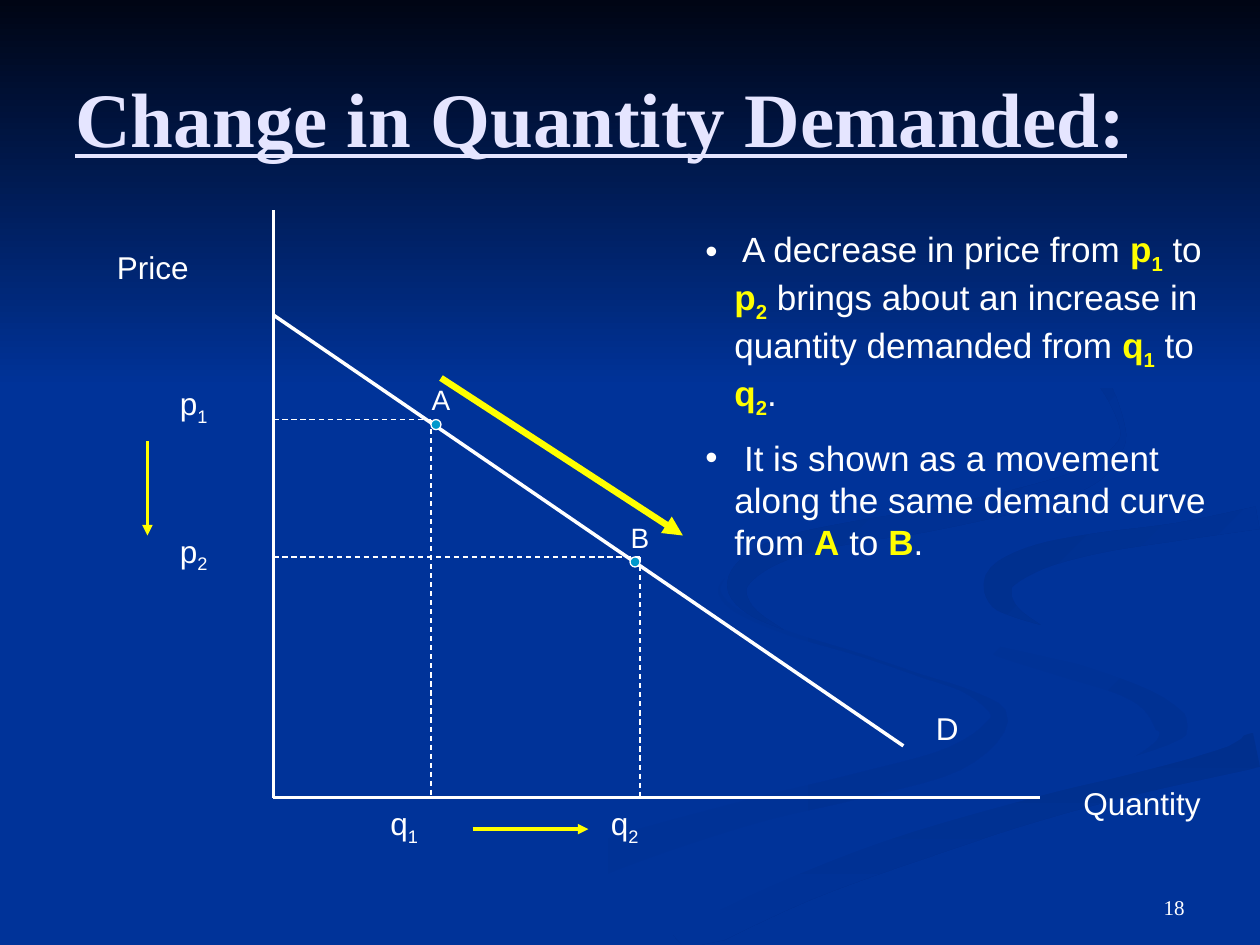
from math import hypot

from lxml.etree import SubElement
from pptx import Presentation
from pptx.dml.color import RGBColor
from pptx.enum.dml import MSO_LINE
from pptx.enum.shapes import MSO_CONNECTOR, MSO_SHAPE
from pptx.enum.text import MSO_ANCHOR, PP_ALIGN
from pptx.oxml.ns import qn
from pptx.util import Inches, Pt

BLUE = RGBColor(0x00, 0x33, 0x99)
SHADE = RGBColor(0x00, 0x31, 0x93)
DEEP = RGBColor(0x00, 0x2F, 0x8D)
NIGHT = RGBColor(0x00, 0x05, 0x14)
LAVENDER = RGBColor(0xE5, 0xE5, 0xFF)
WHITE = RGBColor(0xFF, 0xFF, 0xFF)
YELLOW = RGBColor(0xFF, 0xFF, 0x00)
TEAL = RGBColor(0x00, 0x99, 0xCC)

PAGE_WIDTH, PAGE_HEIGHT = 10, 7.5
SKY_HEIGHT = 3.08
CURVE_STEPS = 5
ORIGIN_X, ORIGIN_Y = 2.17, 6.33
DOT_SIZE = 0.08
BULLET_INDENT = Inches(0.23)

# Each ribbon lists its bends as (x, y, breadth).
LOWER_RIBBON = [
    (5.75, 4.59, 0), (5.71, 4.7, 0.02), (5.85, 4.85, 0.03), (6.27, 5.03, 0.03),
    (6.8, 5.19, 0.02), (7.3, 5.36, 0.02), (7.7, 5.5, 0.04), (7.93, 5.71, 0.14),
    (7.58, 6.02, 0.2), (6.8, 6.24, 0.2), (5.86, 6.47, 0.2), (4.62, 6.87, 0.27),
    (3.3, 7.49, 0.3)]
BEND_RIBBON = [
    (7.24, 4.64, 0), (7.29, 4.81, 0.03), (7.42, 4.93, 0.08), (7.85, 5.12, 0.12),
    (8.42, 5.29, 0.15), (8.93, 5.45, 0.15), (9.19, 5.58, 0.24), (9.3, 5.78, 0.25),
    (9.22, 5.92, 0.12), (8.94, 6.05, 0)]
FRONT_RIBBON = [
    (9.98, 5.95, 0.28), (9.03, 6.2, 0.2), (8.25, 6.4, 0.22), (7.58, 6.6, 0.25),
    (6.4, 7.02, 0.25), (5.35, 7.49, 0.3)]
MAIN_RIBBON = [
    (9.99, 3.95, 0.15), (9.33, 4.07, 0.15), (8.5, 4.19, 0.16), (8, 4.3, 0.2),
    (7.65, 4.45, 0.36), (7.53, 4.64, 0.56), (7.68, 4.86, 0.4), (8.3, 5.08, 0.26),
    (8.7, 5.18, 0.26), (9.3, 5.4, 0.3), (9.7, 5.65, 0.5), (9.5, 5.9, 0.2),
    (8.9, 6.1, 0.12), (8.2, 6.28, 0.1), (7, 6.62, 0.12), (5.9, 7.05, 0.15),
    (4.95, 7.49, 0.25)]
UPPER_RIBBON = [
    (9.98, 4.11, 0.18), (9.35, 4.22, 0.14), (8.72, 4.31, 0.16), (8.25, 4.42, 0.2),
    (7.95, 4.58, 0.23), (7.94, 4.74, 0.2), (8.06, 4.86, 0.08), (8.26, 4.96, 0)]
FAR_RIBBON = [
    (7.62, 2.33, 0), (8.45, 2.77, 0.04), (8.75, 3.03, 0.08), (8.91, 3.4, 0.04),
    (8.86, 3.58, 0.08), (8.66, 3.77, 0.15), (8.2, 3.94, 0.18), (7.36, 4.13, 0.18),
    (6.8, 4.22, 0.17), (6.3, 4.33, 0.18), (5.99, 4.47, 0.19), (5.85, 4.65, 0.16),
    (5.95, 4.84, 0.07), (6.22, 5, 0)]
RIBBONS = [
    (LOWER_RIBBON, BLUE, SHADE, 0), (BEND_RIBBON, BLUE, SHADE, 45),
    (FRONT_RIBBON, DEEP, BLUE, 90), (MAIN_RIBBON, BLUE, BLUE, 0),
    (UPPER_RIBBON, DEEP, BLUE, 45), (FAR_RIBBON, DEEP, BLUE, 45)]


def smooth(bends):
    padded = [bends[0], *bends, bends[-1]]
    points = []
    for before, start, end, after in zip(padded, padded[1:], padded[2:], padded[3:]):
        for step in range(CURVE_STEPS):
            t = step / CURVE_STEPS
            points.append([
                b + ((c - a) * t + (2 * a - 5 * b + 4 * c - d) * t ** 2
                     + (3 * b - a - 3 * c + d) * t ** 3) / 2
                for a, b, c, d in zip(before, start, end, after)])
    return points + [bends[-1]]


def ribbon_outline(bends):
    points = smooth(bends)
    left_side, right_side = [], []
    for index, (x, y, breadth) in enumerate(points):
        x1, y1, _ = points[max(index - 1, 0)]
        x2, y2, _ = points[min(index + 1, len(points) - 1)]
        reach = max(breadth, 0) / 2 / hypot(x2 - x1, y2 - y1)
        for side, sign in ((left_side, 1), (right_side, -1)):
            side.append((min(x - sign * reach * (y2 - y1), PAGE_WIDTH),
                         min(y + sign * reach * (x2 - x1), PAGE_HEIGHT)))
    return left_side + right_side[::-1]


def fill_gradient(shape, start, end, angle):
    shape.shadow.inherit = False
    shape.line.fill.background()
    shape.fill.gradient()
    shape.fill.gradient_angle = -angle % 360
    for stop, color in zip(shape.fill.gradient_stops, (start, end)):
        stop.color.rgb = color


def add_ribbon(page, bends, start, end, angle):
    corners = [(Inches(x), Inches(y)) for x, y in ribbon_outline(bends)]
    builder = page.shapes.build_freeform(*corners[0])
    builder.add_line_segments(corners[1:], close=True)
    fill_gradient(builder.convert_to_shape(), start, end, angle)


def add_backdrop(page):
    page.background.fill.solid()
    page.background.fill.fore_color.rgb = BLUE
    for ribbon in RIBBONS:
        add_ribbon(page, *ribbon)
    sky = page.shapes.add_shape(MSO_SHAPE.RECTANGLE, 0, 0, Inches(PAGE_WIDTH), Inches(SKY_HEIGHT))
    fill_gradient(sky, NIGHT, BLUE, 90)


def add_line(page, x1, y1, x2, y2, color=WHITE, width=2, dashed=False, arrow=False):
    ends = [Inches(value) for value in (x1, y1, x2, y2)]
    connector = page.shapes.add_connector(MSO_CONNECTOR.STRAIGHT, *ends)
    connector.line.color.rgb = color
    connector.line.width = Pt(width)
    if dashed:
        connector.line.dash_style = MSO_LINE.DASH
    if arrow:
        SubElement(connector.line._get_or_add_ln(), qn("a:tailEnd"), type="triangle")
    SubElement(connector._element.spPr, qn("a:effectLst"))


def add_box(page, left, top, width, height, anchor=MSO_ANCHOR.TOP):
    box = page.shapes.add_textbox(Inches(left), Inches(top), Inches(width), Inches(height))
    box.text_frame.word_wrap = True
    box.text_frame.vertical_anchor = anchor
    return box.text_frame


def set_font(para, size, color=WHITE, name="Arial"):
    para.font.size = Pt(size)
    para.font.name = name
    para.font.color.rgb = color


def add_span(para, text, subscript=False, strong=False):
    span = para.add_run()
    span.text = text
    if subscript:
        span._r.get_or_add_rPr().set("baseline", "-25000")
    if strong:
        span.font.bold = True
        span.font.color.rgb = YELLOW


def add_symbol(para, letter, index="", strong=False):
    add_span(para, letter, strong=strong)
    if index:
        add_span(para, index, subscript=True, strong=strong)


def add_label(page, text, left, top, width, size=18, align=PP_ALIGN.LEFT):
    para = add_box(page, left, top, width, 0.4).paragraphs[0]
    para.alignment = align
    set_font(para, size)
    add_symbol(para, *(text if text[-1].isdigit() else [text]))


def add_point(page, name, guide_x, dot_x, y):
    add_line(page, ORIGIN_X, y, guide_x, y, width=0.75, dashed=True)
    add_line(page, guide_x, y, guide_x, ORIGIN_Y, width=0.75, dashed=True)
    dot = page.shapes.add_shape(MSO_SHAPE.FLOWCHART_CONNECTOR, Inches(dot_x), Inches(y),
                                Inches(DOT_SIZE), Inches(DOT_SIZE))
    dot.shadow.inherit = False
    dot.fill.solid()
    dot.fill.fore_color.rgb = TEAL
    dot.line.color.rgb = WHITE
    dot.line.width = Pt(0.75)
    add_label(page, name, dot_x - 0.17, y - 0.34, 0.5, 16, PP_ALIGN.CENTER)


def add_graph(page):
    add_line(page, ORIGIN_X, 1.67, ORIGIN_X, ORIGIN_Y)
    add_line(page, ORIGIN_X, ORIGIN_Y, 8.25, ORIGIN_Y)
    add_line(page, ORIGIN_X, 2.5, 7.17, 5.92)
    add_point(page, "A", 3.42, 3.42, 3.33)
    add_point(page, "B", 5.08, 5, 4.42)
    add_line(page, 3.5, 3, 5.42, 4.25, YELLOW, 3.75, arrow=True)
    add_line(page, 1.17, 3.5, 1.17, 4.25, YELLOW, arrow=True)
    add_line(page, 3.75, 6.58, 4.67, 6.58, YELLOW, arrow=True)
    for text, left, top, width in [
            ("Price", 0.83, 1.92, 1), ("Quantity", 8.5, 6.17, 1.33), ("D", 7.33, 5.58, 0.83),
            ("p1", 1.33, 3, 0.75), ("p2", 1.33, 4.17, 0.75),
            ("q1", 3, ORIGIN_Y, 0.75), ("q2", 4.75, ORIGIN_Y, 0.75)]:
        add_label(page, text, left, top, width)


def add_bullet(para, *parts):
    props = para._p.get_or_add_pPr()
    props.set("marL", str(BULLET_INDENT))
    props.set("indent", str(-BULLET_INDENT))
    SubElement(props, qn("a:buFont"), typeface="Arial")
    SubElement(props, qn("a:buChar"), char="•")
    set_font(para, 20)
    for position, part in enumerate(parts):
        if position % 2:
            add_symbol(para, *part, strong=True)
        else:
            add_span(para, part)


def add_explanation(page):
    frame = add_box(page, 5.5, 1.76, 4.42, 2.29)
    add_bullet(frame.paragraphs[0], " A decrease in price from ", "p1", " to ", "p2",
               " brings about an increase in quantity demanded from ", "q1", " to ", "q2", ".")
    para = frame.add_paragraph()
    para.space_before = Pt(10)
    add_bullet(para, " It is shown as a movement along the same demand curve from ",
               "A", " to ", "B", ".")


def add_heading(page):
    para = add_box(page, 0.5, 0.3, 9, 1.25, MSO_ANCHOR.MIDDLE).paragraphs[0]
    add_span(para, "Change in Quantity Demanded:")
    set_font(para, 44, LAVENDER, "Times New Roman")
    para.font.bold = para.font.underline = True


def add_page_number(page):
    para = add_box(page, 7.17, 6.83, 2.33, 0.52, MSO_ANCHOR.BOTTOM).paragraphs[0]
    para.alignment = PP_ALIGN.RIGHT
    add_span(para, "18")
    set_font(para, 12, name="Times New Roman")


def main():
    deck = Presentation()
    deck.slide_width, deck.slide_height = Inches(PAGE_WIDTH), Inches(PAGE_HEIGHT)
    page = deck.slides.add_slide(deck.slide_layouts[6])
    for add_part in (add_backdrop, add_heading, add_graph, add_explanation, add_page_number):
        add_part(page)
    deck.save("out.pptx")


if __name__ == "__main__":
    main()
